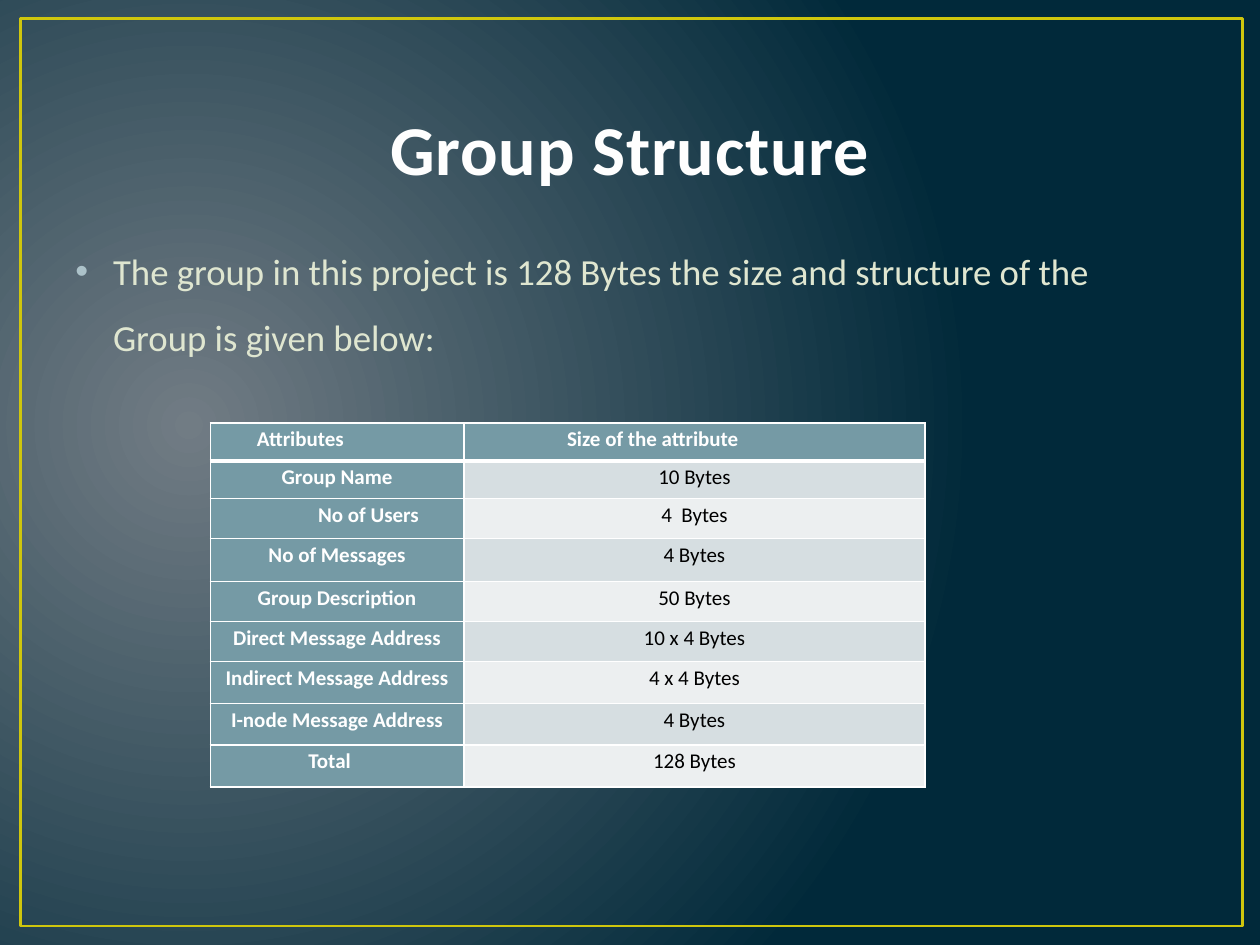
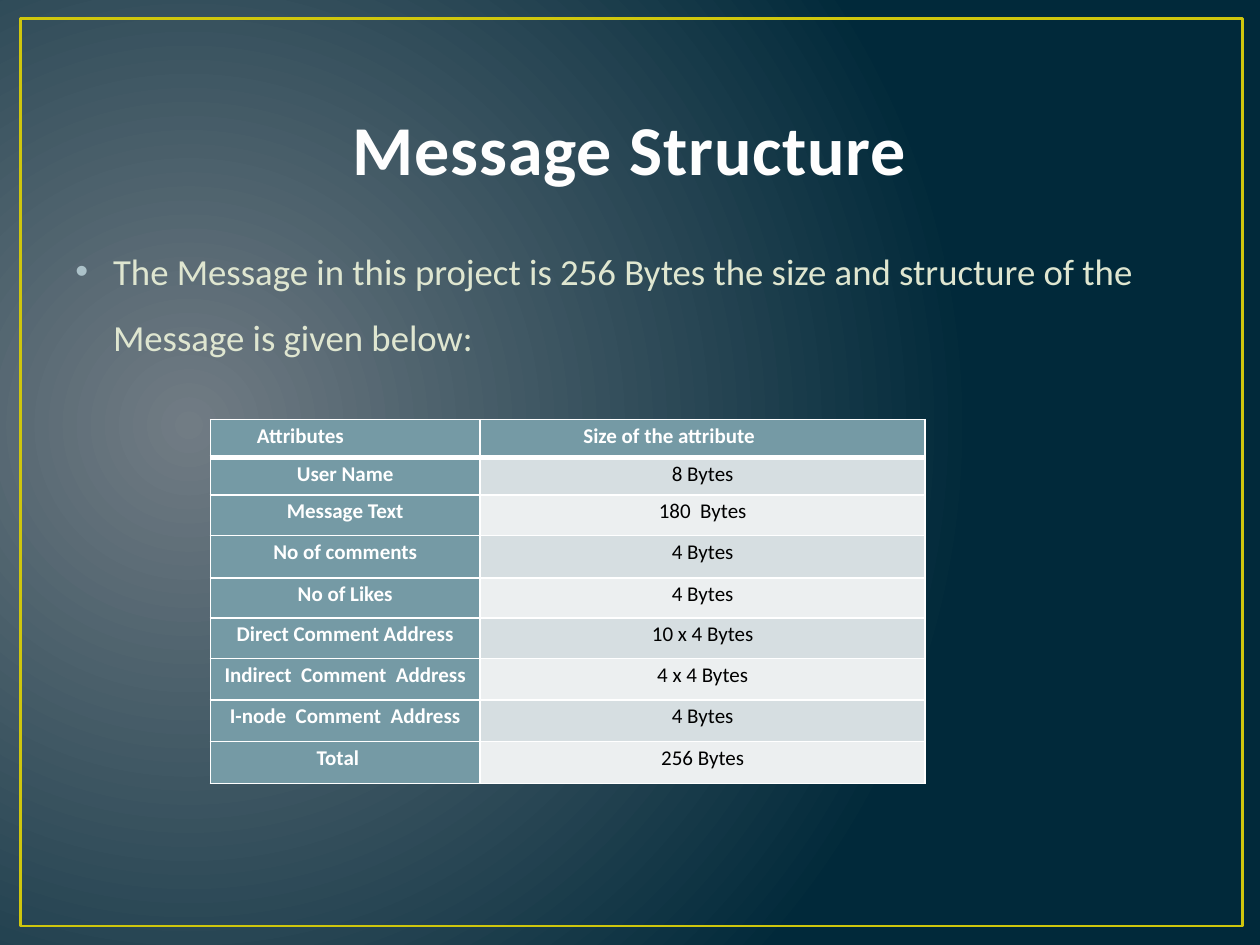
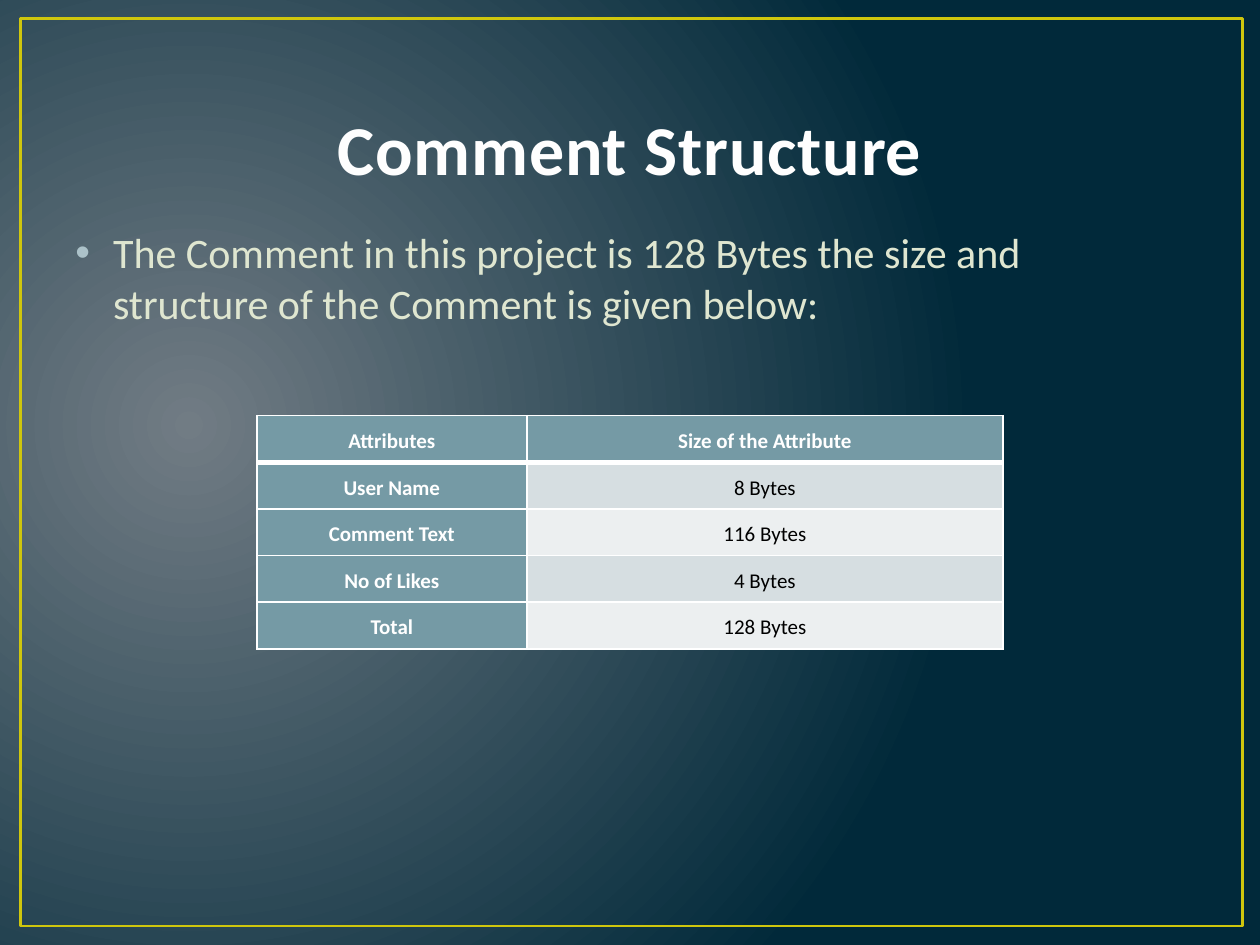
from lxml import etree
from pptx import Presentation
from pptx import util as u
from pptx.dml.color import RGBColor
from pptx.enum import shapes, text
from pptx.oxml import ns

FONT = "Calibri"
WHITE, BLACK, TITLE, BODY = "FFFFFF", "000000", "FEFEFE", "DFE6D0"
GLOW, NIGHT, FRAME, OUTLINE, BULLET = "717C84", "01293A", "CFC60D", "384F55", "ACC2C9"
HEAD, BANDS = "759AA5", ("D6DEE1", "ECEFF0")
CENTER, JUSTIFY = text.PP_ALIGN.CENTER, text.PP_ALIGN.JUSTIFY


def rgb(value):
    return RGBColor.from_string(value)


def sub(parent, tag, **attrs):
    return etree.SubElement(parent, ns.qn(tag), attrs)


def solid(parent, color):
    sub(sub(parent, "a:solidFill"), "a:srgbClr", val=color)


class Deck:
    """Holds the shared style and the slide being built."""

    def __init__(self):
        self.prs = Presentation()
        self.prs.slide_width, self.prs.slide_height = u.Cm(25.4), u.Cm(19.05)
        self.s = None

    def slide(self, title):
        self.s = self.prs.slides.add_slide(self.prs.slide_layouts[6])
        self.background()
        self.frame()
        self.title(title)

    def background(self):
        fill = self.s.background.fill
        fill.gradient()
        for stop, color, position in zip(fill.gradient_stops, (GLOW, NIGHT), (0, 1)):
            stop.color.rgb, stop.position = rgb(color), position
        lin = next(self.s.element.iter(ns.qn("a:lin")))
        grad = lin.getparent()
        grad.remove(lin)
        circle = sub(grad, "a:path", path="circle")
        sub(circle, "a:fillToRect", l="15000", t="50000", r="85000", b="60000")

    def frame(self):
        sp = self.s.shapes.add_shape(shapes.MSO_SHAPE.RECTANGLE,
                                     u.Cm(0.41), u.Cm(0.38), u.Cm(24.64), u.Cm(18.29))
        sp.shadow.inherit = False
        sp.fill.background()
        sp.line.color.rgb, sp.line.width = rgb(FRAME), u.Pt(1.5)

    def box(self, top, height):
        tf = self.s.shapes.add_textbox(u.Cm(1.27), u.Cm(top), u.Cm(22.86), u.Cm(height)).text_frame
        tf.word_wrap = True
        return tf

    def run(self, p, words, size, color, bold=False):
        r = p.add_run()
        r.text = words
        r.font.name, r.font.size, r.font.bold = FONT, u.Pt(size), bold
        r.font.color.rgb = rgb(color)
        return r

    def title(self, words):
        tf = self.box(0.76, 3.18)
        tf.vertical_anchor = text.MSO_ANCHOR.BOTTOM
        p = tf.paragraphs[0]
        p.alignment = CENTER
        props = self.run(p, words, 40, TITLE, True).font._element
        props.set("spc", "50")
        ln = sub(props, "a:ln", w="13335")
        solid(ln, OUTLINE)
        props.insert(0, ln)

    def bullet(self, words, size, spacing):
        p = self.box(4.45, 12.57).paragraphs[0]
        p.line_spacing, p.space_before = spacing, u.Pt(round(size * 0.2))
        props = p._p.get_or_add_pPr()
        props.set("marL", str(u.Cm(0.76)))
        props.set("indent", str(u.Cm(-0.76)))
        sub(sub(props, "a:buClr"), "a:srgbClr", val=BULLET)
        sub(props, "a:buFont", typeface="Arial")
        sub(props, "a:buChar", char="•")
        self.run(p, words, size, BODY)

    def cell(self, cell, words, row, col, spacing, align, left, right):
        cell.margin_left = cell.margin_right = u.Cm(0.18)
        cell.margin_top = cell.margin_bottom = 0
        props = cell._tc.get_or_add_tcPr()
        for side in "LRTB":
            thick = (row, side) in ((0, "B"), (1, "T"))
            solid(sub(props, "a:ln" + side, w=str(u.Pt(3 if thick else 1))), WHITE)
        heading = row == 0 or col == 0
        cell.fill.solid()
        cell.fill.fore_color.rgb = rgb(HEAD if heading else BANDS[(row - 1) % 2])
        p = cell.text_frame.paragraphs[0]
        p.alignment, p.line_spacing = align, spacing
        for name, indent in (("marL", left), ("marR", right)):
            if indent:
                p._p.get_or_add_pPr().set(name, str(u.Cm(indent)))
        self.run(p, words, 12, WHITE if heading else BLACK, heading)

    def table(self, left, top, widths, heights, rows, spacing, head=CENTER, indents={}):
        table = self.s.shapes.add_table(len(rows), len(widths), u.Cm(left), u.Cm(top),
                                        u.Cm(sum(widths)), u.Cm(sum(heights))).table
        table.first_row = table.horz_banding = False
        for column, width in zip(table.columns, widths):
            column.width = u.Cm(width)
        for i, (values, height) in enumerate(zip(rows, heights)):
            table.rows[i].height = u.Cm(height)
            for j, words in enumerate(values):
                self.cell(table.cell(i, j), words, i, j, spacing, CENTER if i else head,
                          *indents.get(words, (0, 0)))


LONG_ROWS = (0.76, 0.76, 0.81, 0.86, 0.81, 0.81, 0.84, 0.84, 0.84)
INDENTS = {"Attributes": (0.76, 0), "Size of the attribute": (1.9, 0),
           "No of Users": (1.27, 0), "Total": (0, 0.3)}
LONG_HEAD = ("Attributes", "Size of the attribute")
INTRO = "The {0} in this project is {1} Bytes the size and structure of the {2} is given below:"

deck = Deck()

deck.slide("Group Structure")
deck.bullet(INTRO.format("group", 128, "Group"), 21, 1.5)
deck.table(4.24, 8.53, (5.11, 9.3), LONG_ROWS, (
    LONG_HEAD,
    ("Group Name", "10 Bytes"),
    ("No of Users", "4  Bytes"),
    ("No of Messages", "4 Bytes"),
    ("Group Description", "50 Bytes"),
    ("Direct Message Address", "10 x 4 Bytes"),
    ("Indirect Message Address", "4 x 4 Bytes"),
    ("I-node Message Address", "4 Bytes"),
    ("Total", "128 Bytes"),
), 1.15, JUSTIFY, INDENTS)

deck.slide("Message Structure")
deck.bullet(INTRO.format("Message", 256, "Message"), 21, 1.5)
deck.table(4.24, 8.46, (5.44, 8.97), LONG_ROWS, (
    LONG_HEAD,
    ("User Name", "8 Bytes"),
    ("Message Text", "180  Bytes"),
    ("No of comments", "4 Bytes"),
    ("No of Likes", "4 Bytes"),
    ("Direct Comment Address", "10 x 4 Bytes"),
    ("Indirect  Comment  Address", "4 x 4 Bytes"),
    ("I-node  Comment  Address", "4 Bytes"),
    ("Total", "256 Bytes"),
), 1.15, JUSTIFY, INDENTS)

deck.slide("Comment Structure")
deck.bullet(INTRO.format("Comment", 128, "Comment"), 24, 1.0)
deck.table(5.18, 8.38, (5.44, 9.6), (0.94,) * 5, (
    ("Attributes", "Size of the Attribute"),
    ("User Name", "8 Bytes"),
    ("Comment Text", "116 Bytes"),
    ("No of Likes", "4 Bytes"),
    ("Total", "128 Bytes"),
), 1.5)

deck.prs.save("out.pptx")
